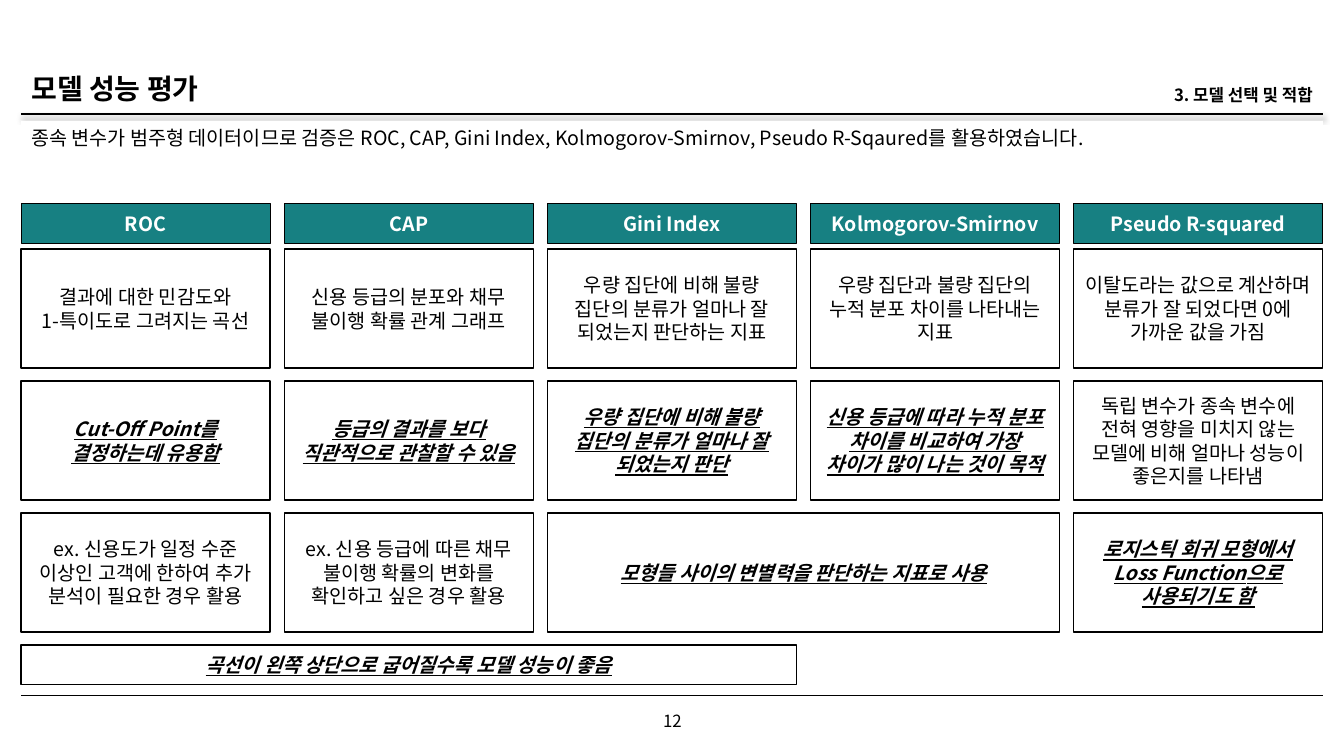
from lxml import etree
from pptx import Presentation, util as u
from pptx.dml.color import RGBColor
from pptx.enum import shapes, text
from pptx.oxml import parse_xml
from pptx.oxml.ns import nsdecls, qn

COLORS = {"ink": "000000", "paper": "FFFFFF", "teal": "178082"}
FONT = "Noto Sans CJK KR"
LEFT, RIGHT = 0.21, 13.12
COLUMN_WIDTH, COLUMN_STEP = 2.47, 2.61
EMPHASIS = {"bold": True, "italic": True, "underline": True}
CENTER, MIDDLE = text.PP_ALIGN.CENTER, text.MSO_ANCHOR.MIDDLE

presentation = Presentation()
presentation.slide_width, presentation.slide_height = u.Inches(13.33), u.Inches(7.5)
slide = presentation.slides.add_slide(presentation.slide_layouts[5])


def write(shape, words, size=14, color="ink", align=CENTER, anchor=MIDDLE, **font_format):
    """Fill a shape with one paragraph per line of words."""
    frame = shape.text_frame
    frame.text = words
    frame.word_wrap = True
    frame.auto_size = text.MSO_AUTO_SIZE.NONE
    frame.vertical_anchor = anchor
    values = {"name": FONT, "size": u.Pt(size), "bold": False, **font_format}
    for paragraph in frame.paragraphs:
        paragraph.alignment = align
        for run in paragraph.runs:
            for name, value in values.items():
                setattr(run.font, name, value)
            run.font.color.rgb = RGBColor.from_string(COLORS[color])
            latin = run._r.rPr.find(qn("a:latin"))
            latin.addnext(parse_xml(f'<a:ea {nsdecls("a")} typeface="{FONT}"/>'))


def add_box(left, top, width, height, words, fill="paper", line=None, **text_format):
    """Draw a filled rectangle with text; line is its outline in points."""
    shape = slide.shapes.add_shape(shapes.MSO_SHAPE.RECTANGLE,
                                   *map(u.Inches, (left, top, width, height)))
    shape.shadow.inherit = False
    shape.fill.solid()
    shape.fill.fore_color.rgb = RGBColor.from_string(COLORS[fill])
    if line:
        shape.line.color.rgb = RGBColor.from_string(COLORS["ink"])
        shape.line.width = u.Pt(line)
    else:
        shape.line.fill.background()
    write(shape, words, **text_format)


# Rules above and below the content; the upper one casts a shadow
for y, has_shadow in ((1.13, True), (6.9, False)):
    rule = slide.shapes.add_connector(shapes.MSO_CONNECTOR.STRAIGHT,
                                      *map(u.Inches, (LEFT, y, RIGHT, y)))
    rule.line.color.rgb = RGBColor.from_string(COLORS["ink"])
    rule.line.width = u.Pt(1)
    effects = etree.SubElement(rule._element.spPr, qn("a:effectLst"))
    if has_shadow:
        effects.append(parse_xml(
            f'<a:outerShdw {nsdecls("a")} blurRad="{u.Pt(4)}" dist="{u.Pt(3)}" '
            f'dir="5400000" algn="t" rotWithShape="0"><a:srgbClr val="{COLORS["ink"]}">'
            '<a:alpha val="40000"/></a:srgbClr></a:outerShdw>'))

# Page number
page_number = slide.shapes.add_textbox(*map(u.Inches, (5.17, 6.95, 3, 0.4)))
write(page_number, "12", size=12)

# Title, section name and introduction
title = slide.shapes.title
title.left, title.top, title.width, title.height = map(u.Inches, (LEFT, 0.45, 6.53, 0.64))
write(title, "모델 성능 평가", size=20, bold=True,
      align=text.PP_ALIGN.LEFT, anchor=text.MSO_ANCHOR.BOTTOM)
add_box(6.74, 0.45, 6.38, 0.64, "3. 모델 선택 및 적합", size=12, bold=True,
        align=text.PP_ALIGN.RIGHT, anchor=text.MSO_ANCHOR.BOTTOM)
add_box(LEFT, 1.2, RIGHT - LEFT, 0.76,
        "종속 변수가 범주형 데이터이므로 검증은 ROC, CAP, Gini Index, "
        "Kolmogorov-Smirnov, Pseudo R-Sqaured를 활용하였습니다.",
        align=text.PP_ALIGN.LEFT, anchor=text.MSO_ANCHOR.TOP)

# Metric names
metrics = ["ROC", "CAP", "Gini Index", "Kolmogorov-Smirnov", "Pseudo R-squared"]
for column, metric in enumerate(metrics):
    add_box(LEFT + column * COLUMN_STEP, 2.02, COLUMN_WIDTH, 0.39, metric,
            fill="teal", line=0.5, color="paper", bold=True)

# Grid rows: top, height, cells of (columns spanned, emphasized, words)
rows = [
    (2.47, 1.18, [
        (1, False, "결과에 대한 민감도와\n1-특이도로 그려지는 곡선"),
        (1, False, "신용 등급의 분포와 채무\n불이행 확률 관계 그래프"),
        (1, False, "우량 집단에 비해 불량 집단의 분류가 얼마나 잘 되었는지 판단하는 지표"),
        (1, False, "우량 집단과 불량 집단의 누적 분포 차이를 나타내는 지표"),
        (1, False, "이탈도라는 값으로 계산하며 분류가 잘 되었다면 0에 가까운 값을 가짐")]),
    (3.78, 1.18, [
        (1, True, "Cut-Off Point를 결정하는데 유용함"),
        (1, True, "등급의 결과를 보다 직관적으로 관찰할 수 있음"),
        (1, True, "우량 집단에 비해 불량 집단의 분류가 얼마나 잘 되었는지 판단"),
        (1, True, "신용 등급에 따라 누적 분포 차이를 비교하여 가장 차이가 많이 나는 것이 목적"),
        (1, False, "독립 변수가 종속 변수에 전혀 영향을 미치지 않는 모델에 비해 "
                   "얼마나 성능이 좋은지를 나타냄")]),
    (5.09, 1.18, [
        (1, False, "ex. 신용도가 일정 수준 이상인 고객에 한하여 추가 분석이 필요한 경우 활용"),
        (1, False, "ex. 신용 등급에 따른 채무 불이행 확률의 변화를 확인하고 싶은 경우 활용"),
        (2, True, "모형들 사이의 변별력을 판단하는 지표로 사용"),
        (1, True, "로지스틱 회귀 모형에서 Loss Function으로 사용되기도 함")]),
    (6.4, 0.39, [(3, True, "곡선이 왼쪽 상단으로 굽어질수록 모델 성능이 좋음")]),
]
for top, height, cells in rows:
    column = 0
    for span, emphasized, words in cells:
        add_box(LEFT + column * COLUMN_STEP, top, COLUMN_WIDTH + (span - 1) * COLUMN_STEP,
                height, words, line=1, **(EMPHASIS if emphasized else {}))
        column += span

presentation.save("out.pptx")
